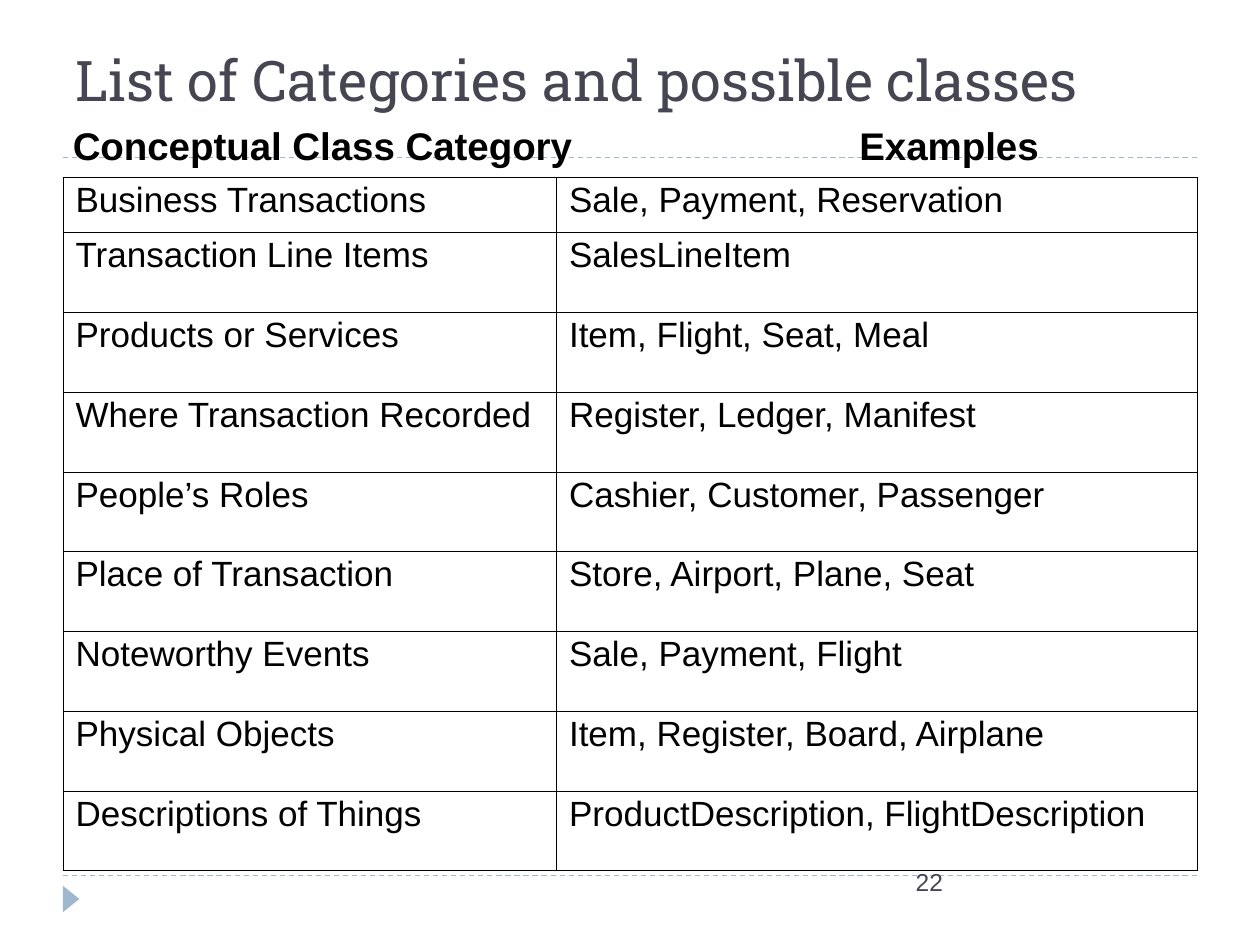
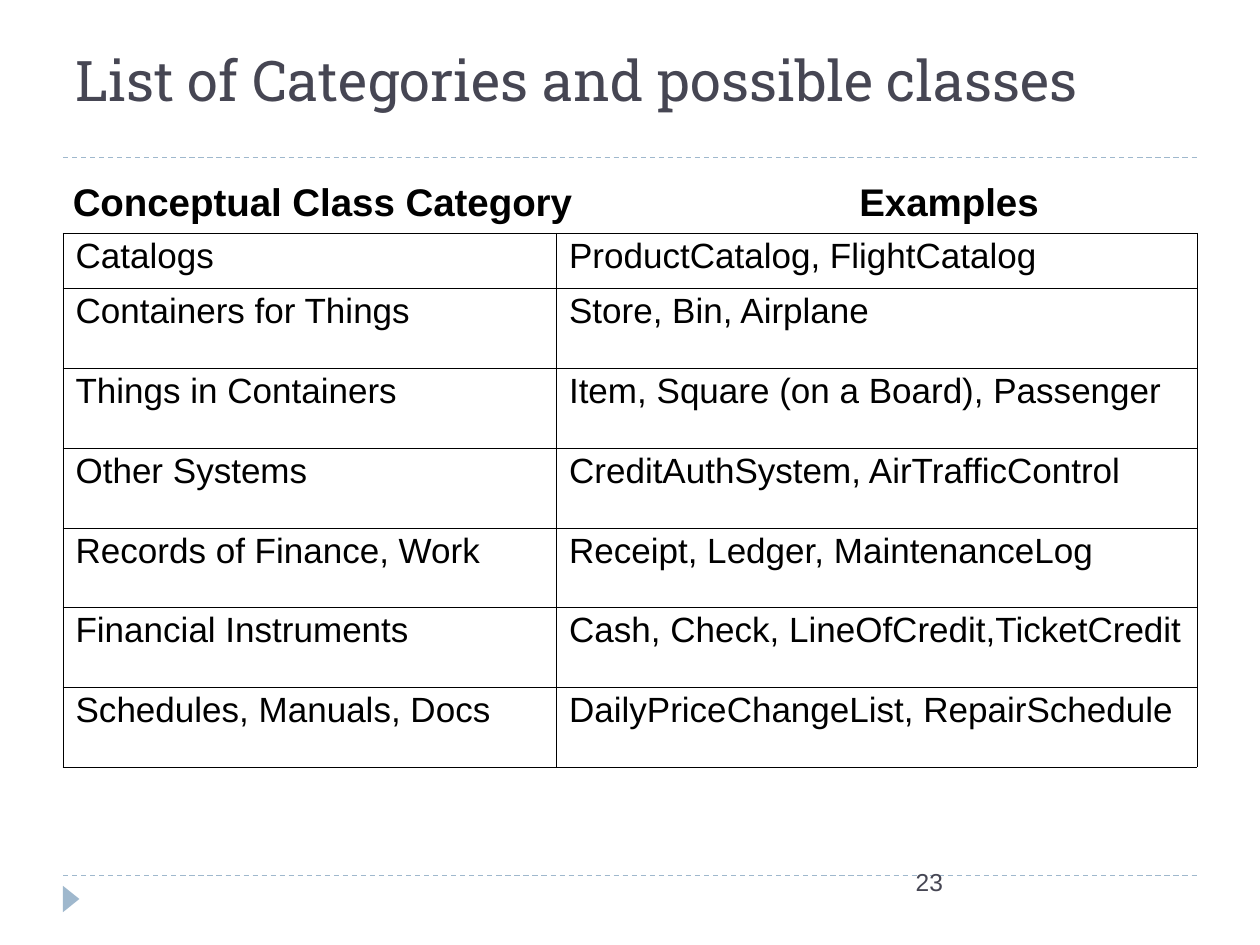
"""Build two slides that list conceptual class categories with example classes."""
from dataclasses import dataclass

from lxml.etree import SubElement as Sub
from pptx import Presentation
from pptx.dml.color import RGBColor as Rgb
from pptx.enum.dml import MSO_LINE as Dash
from pptx.enum.shapes import MSO_CONNECTOR as Link, MSO_SHAPE as Form
from pptx.enum.text import MSO_ANCHOR as Anchor
from pptx.oxml.ns import qn
from pptx.util import Pt


@dataclass(frozen=True)
class Theme:
    """Hold the colours, type sizes and edges that the slides share."""
    ink: str = "000000"
    slate: str = "464653"
    blue: str = "9FB8CD"
    serif: str = "Roboto Slab"
    sans: str = "Arial"
    title: int = 32
    head: int = 22
    body: int = 20
    page: int = 14
    left: int = 36
    width: int = 648
    outer: float = 0.5
    inner: float = 0.23


THEME = Theme()
TITLE = "List of Categories and possible classes"
HEADS = "Conceptual Class Category\tExamples"
COLS = (282, 366)
FIRST, NEXT = 31.5, 45.6

SLIDES = [
    ("22", 101.3, [
        ("Business Transactions", "Sale, Payment, Reservation"),
        ("Transaction Line Items", "SalesLineItem"),
        ("Products or Services", "Item, Flight, Seat, Meal"),
        ("Where Transaction Recorded", "Register, Ledger, Manifest"),
        ("People’s Roles", "Cashier, Customer, Passenger"),
        ("Place of Transaction", "Store, Airport, Plane, Seat"),
        ("Noteworthy Events", "Sale, Payment, Flight"),
        ("Physical Objects", "Item, Register, Board, Airplane"),
        ("Descriptions of Things", "ProductDescription, FlightDescription"),
    ]),
    ("23", 133.3, [
        ("Catalogs", "ProductCatalog, FlightCatalog"),
        ("Containers for Things", "Store, Bin, Airplane"),
        ("Things in Containers", "Item, Square (on a Board), Passenger"),
        ("Other Systems", "CreditAuthSystem, AirTrafficControl"),
        ("Records of Finance, Work", "Receipt, Ledger, MaintenanceLog"),
        ("Financial Instruments", "Cash, Check, LineOfCredit,TicketCredit"),
        ("Schedules, Manuals, Docs", "DailyPriceChangeList, RepairSchedule"),
    ]),
]


def apply(item, form):
    """Set each format value on the item."""
    for key, value in form.items():
        setattr(item, key, value)


def write(para, text, face, size, tint, bold=False):
    """Add one styled run to a paragraph."""
    run = para.add_run()
    run.text = text
    apply(run.font, {"name": face, "size": Pt(size), "bold": bold})
    run.font.color.rgb = Rgb.from_string(tint)


def add_text(slide, box, text, style, form=None, tab=None):
    """Add a text box with one line, and a tab stop if one is given."""
    frame = slide.shapes.add_textbox(*map(Pt, box)).text_frame
    apply(frame, {"word_wrap": True, **(form or {})})
    para = frame.paragraphs[0]
    if tab:
        stops = Sub(para._p.get_or_add_pPr(), qn("a:tabLst"))
        Sub(stops, qn("a:tab"), pos=str(Pt(tab)), algn="l")
    write(para, text, *style)


def add_rule(slide, top):
    """Add a dashed line across the slide."""
    ends = (THEME.left, top, THEME.left + THEME.width, top)
    rule = slide.shapes.add_connector(Link.STRAIGHT, *map(Pt, ends))
    apply(rule.line, {"width": Pt(0.75), "dash_style": Dash.DASH})
    rule.line.color.rgb = Rgb.from_string(THEME.blue)
    Sub(rule._element.spPr, qn("a:effectLst"))


def add_mark(slide):
    """Add the small footer triangle that points right."""
    box = (33.1, 509, 15.1, 9.4)
    mark = slide.shapes.add_shape(Form.ISOSCELES_TRIANGLE, *map(Pt, box))
    mark.rotation = 90
    mark.shadow.inherit = False
    mark.fill.solid()
    mark.fill.fore_color.rgb = Rgb.from_string(THEME.blue)
    mark.line.fill.background()


def add_edge(cell, side, width):
    """Draw one border of a cell."""
    line = Sub(cell._tc.get_or_add_tcPr(), qn(f"a:ln{side}"), w=str(Pt(width)))
    Sub(Sub(line, qn("a:solidFill")), qn("a:srgbClr"), val=THEME.ink)


def add_grid(slide, top, rows):
    """Add the table of categories and examples."""
    high = FIRST + NEXT * (len(rows) - 1)
    box = map(Pt, (THEME.left, top, THEME.width, high))
    grid = slide.shapes.add_table(len(rows), len(COLS), *box).table
    apply(grid, {"first_row": False, "horz_banding": False})
    for col, width in zip(grid.columns, COLS):
        col.width = Pt(width)
    for r, row in enumerate(rows):
        grid.rows[r].height = Pt(NEXT if r else FIRST)
        for c, text in enumerate(row):
            cell = grid.cell(r, c)
            rims = {"L": c == 0, "R": c == len(row) - 1,
                    "T": r == 0, "B": r == len(rows) - 1}
            for side, rim in rims.items():
                add_edge(cell, side, THEME.outer if rim else THEME.inner)
            cell.fill.background()
            para = cell.text_frame.paragraphs[0]
            para.line_spacing = 0.93
            write(para, text, THEME.sans, THEME.body, THEME.ink)


def add_frame(slide, page):
    """Add the rules, mark, title and page number."""
    for top in (500.4, 90):
        add_rule(slide, top)
    add_mark(slide)
    add_text(slide, (THEME.left, 21.6, THEME.width, 44.6), TITLE,
             (THEME.serif, THEME.title, THEME.slate),
             {"vertical_anchor": Anchor.BOTTOM,
              "margin_top": 0, "margin_bottom": Pt(1.6)})
    add_text(slide, (516.2, 491.8, 167.8, 37.4), page,
             (THEME.sans, THEME.page, THEME.slate))


def main():
    """Build and save the slides."""
    deck = Presentation()
    apply(deck, {"slide_width": Pt(720), "slide_height": Pt(540)})
    for page, top, rows in SLIDES:
        slide = deck.slides.add_slide(deck.slide_layouts[6])
        add_frame(slide, page)
        add_grid(slide, top, rows)
        add_text(slide, (34.5, top - 35.2, 567.4, 33.8), HEADS,
                 (THEME.sans, THEME.head, THEME.ink, True), tab=449.5)
    deck.save("out.pptx")


if __name__ == "__main__":
    main()
